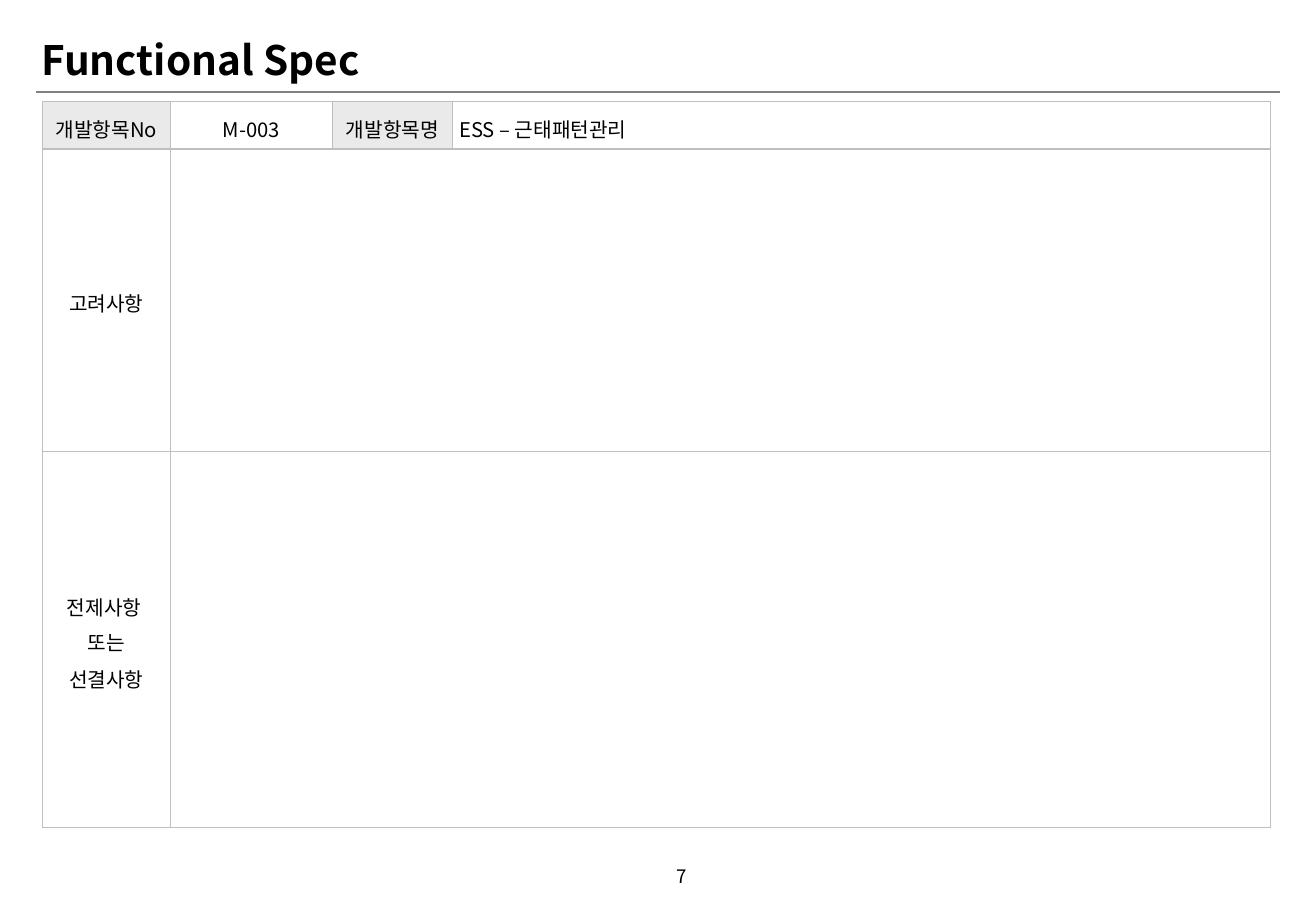
from lxml.etree import SubElement
from pptx import Presentation
from pptx.dml.color import RGBColor
from pptx.enum.shapes import MSO_CONNECTOR as Connector
from pptx.enum.text import MSO_ANCHOR as Anchor, MSO_AUTO_SIZE as AutoSize, PP_ALIGN as Align
from pptx.oxml.ns import qn
from pptx.util import Pt

BLACK = RGBColor(0x00, 0x00, 0x00)
WHITE = RGBColor(0xFF, 0xFF, 0xFF)
RULE_GRAY = RGBColor(0x80, 0x80, 0x80)
LABEL_GRAY = RGBColor(0xEA, 0xEA, 0xEA)
BORDER_GRAY = RGBColor(0xBF, 0xBF, 0xBF)
FONT = "Noto Sans CJK KR"

COLUMNS = (75.8, 96.2, 70.8, 484.9)
ROWS = (23.9, 179.3, 223)
HEADER = ("개발항목No", "M-003", "개발항목명", "ESS – 근태패턴관리")
SECTIONS = ((("고려사항",),), (("전제사항 ", "또는"), ("선결사항",)))


def set_all(target, values):
    """Set each named attribute of the target."""
    for name, value in values.items():
        setattr(target, name, value)


def write(frame, paragraphs, size, bold=False, **layout):
    """Write paragraphs, each a tuple of lines, into a text frame."""
    for index, lines in enumerate(paragraphs):
        para = frame.add_paragraph() if index else frame.paragraphs[0]
        set_all(para, layout)
        for number, line in enumerate(lines):
            if number:
                para.add_line_break()
            span = para.add_run()
            span.text = line
            set_all(span.font, {"size": Pt(size), "bold": bold, "name": FONT})
            span.font.color.rgb = BLACK
            SubElement(span.font._element, qn("a:ea"), typeface=FONT)


def set_frame(frame):
    """Give a text frame its margins, wrapping and middle anchor."""
    set_all(frame, {
        "word_wrap": True, "auto_size": AutoSize.NONE, "vertical_anchor": Anchor.MIDDLE,
        "margin_left": Pt(7.2), "margin_right": Pt(7.2),
        "margin_top": Pt(3.6), "margin_bottom": Pt(3.6),
    })


def add_title(page, left, top, width, height):
    """Place the title in its box."""
    title = page.shapes.title
    set_all(title, {"left": Pt(left), "top": Pt(top), "width": Pt(width), "height": Pt(height)})
    set_frame(title.text_frame)
    write(title.text_frame, [("Functional Spec",)], 24, True,
          alignment=Align.LEFT, line_spacing=0.9)


def add_rule(page, left, top, width):
    """Draw the line under the title."""
    rule = page.shapes.add_connector(
        Connector.STRAIGHT, Pt(left), Pt(top), Pt(left + width), Pt(top))
    rule.line.color.rgb = RULE_GRAY
    rule.line.width = Pt(1.25)
    SubElement(rule._element.spPr, qn("a:effectLst"))


def format_cell(cell, fill, side, edge):
    """Give a cell its fill, margins and thin gray borders."""
    set_all(cell, {
        "vertical_anchor": Anchor.MIDDLE, "margin_left": Pt(side), "margin_right": Pt(side),
        "margin_top": Pt(edge), "margin_bottom": Pt(edge),
    })
    properties = cell._tc.get_or_add_tcPr()
    for border in ("a:lnL", "a:lnR", "a:lnT", "a:lnB"):
        line = SubElement(properties, qn(border), w=str(Pt(0.75)))
        solid = SubElement(line, qn("a:solidFill"))
        SubElement(solid, qn("a:srgbClr"), val=str(BORDER_GRAY))
    cell.fill.solid()
    cell.fill.fore_color.rgb = fill


def add_spec_table(page, left, top):
    """Build the table with its header row and the two wide sections."""
    table = page.shapes.add_table(
        len(ROWS), len(COLUMNS), Pt(left), Pt(top), Pt(sum(COLUMNS)), Pt(sum(ROWS))).table
    set_all(table, {"first_row": False, "horz_banding": False})
    for column, width in zip(table.columns, COLUMNS):
        column.width = Pt(width)
    for row, height in zip(table.rows, ROWS):
        row.height = Pt(height)

    for index, text in enumerate(HEADER):
        cell = table.cell(0, index)
        format_cell(cell, WHITE if index % 2 else LABEL_GRAY, 4.3, 3.6)
        align = Align.LEFT if index == len(HEADER) - 1 else Align.CENTER
        write(cell.text_frame, [(text,)], 12, alignment=align, line_spacing=1.2)

    for number, label in enumerate(SECTIONS, 1):
        for index in range(len(COLUMNS)):
            format_cell(table.cell(number, index), WHITE, 2.9, 1.4)
        table.cell(number, 1).merge(table.cell(number, len(COLUMNS) - 1))
        write(table.cell(number, 0).text_frame, label, 12,
              alignment=Align.CENTER, line_spacing=1.2, space_before=Pt(1.2))


def add_page_number(page, left, top, width, height):
    """Place the page number in its box."""
    box = page.shapes.add_textbox(Pt(left), Pt(top), Pt(width), Pt(height))
    set_frame(box.text_frame)
    write(box.text_frame, [("7",)], 11, alignment=Align.RIGHT)


def main():
    """Build the page and save the deck."""
    deck = Presentation()
    set_all(deck, {"slide_width": Pt(780), "slide_height": Pt(540)})
    page = deck.slides.add_slide(deck.slide_layouts.get_by_name("Title Only"))
    add_rule(page, 21.6, 54.6, 737.3)
    add_page_number(page, 371.5, 504.7, 42.5, 28.8)
    add_title(page, 17.3, 20.2, 469.4, 33.1)
    add_spec_table(page, 25.2, 60.2)
    deck.save("out.pptx")


if __name__ == "__main__":
    main()
